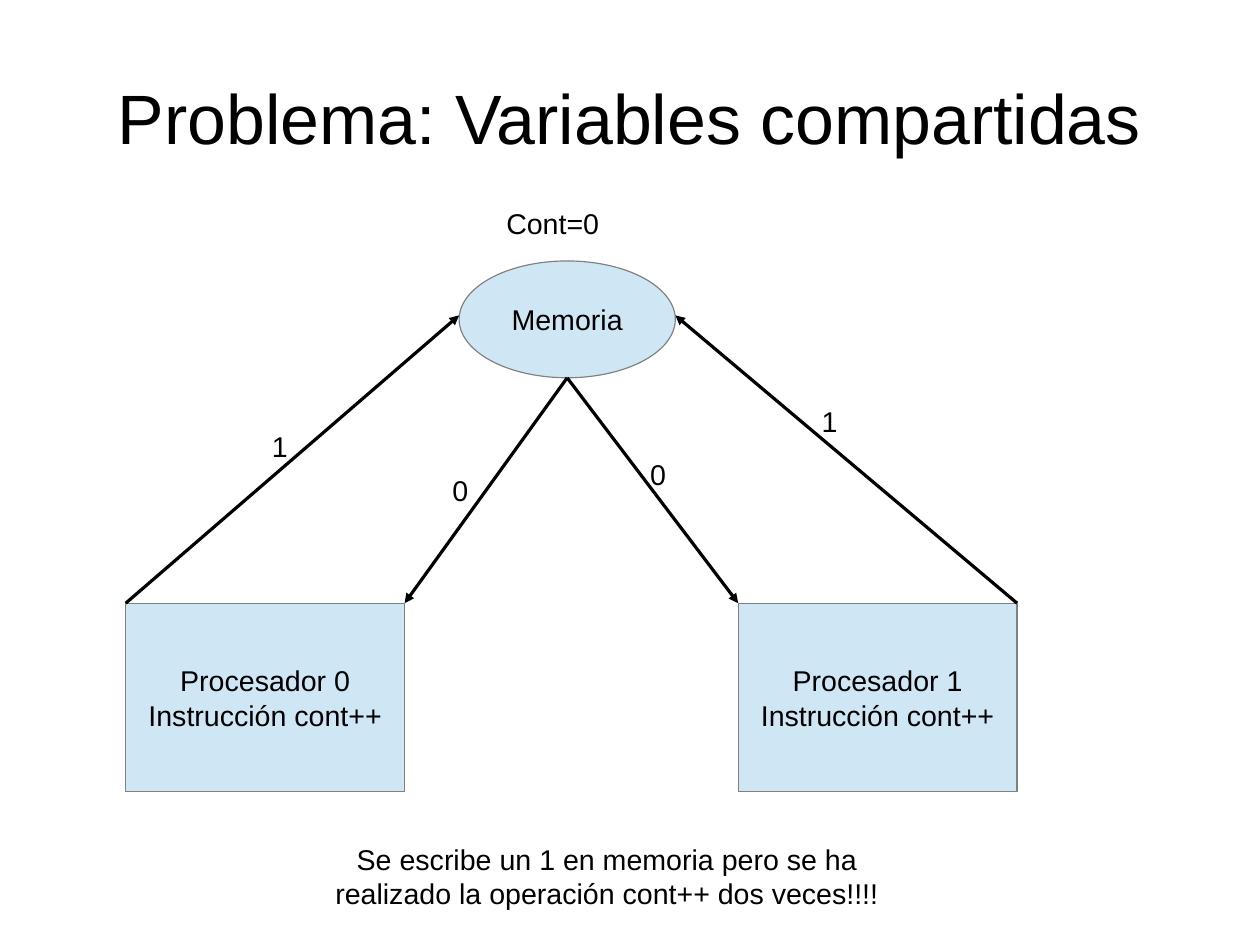
"""Build the slide on two processors sharing a variable in memory."""
from lxml import etree
from pptx import Presentation
from pptx.dml.color import RGBColor
from pptx.enum import shapes, text
from pptx.oxml.ns import qn
from pptx.util import Pt

COLORS = {"fill": "CFE7F5", "border": "808080", "ink": "000000", "bg": "FFFFFF"}
FONT = "Arial"
CENTER = text.PP_ALIGN.CENTER
LEFT = text.PP_ALIGN.LEFT


def rgb(name):
    return RGBColor.from_string(COLORS[name])


def write(tf, lines, size=18, align=CENTER, anchor=text.MSO_ANCHOR.MIDDLE,
          inset=(7.2, 3.6), wrap=False):
    tf.word_wrap = wrap
    tf.vertical_anchor = anchor
    tf.margin_left = tf.margin_right = Pt(inset[0])
    tf.margin_top = tf.margin_bottom = Pt(inset[1])
    for i, line in enumerate(lines):
        p = tf.add_paragraph() if i else tf.paragraphs[0]
        p.alignment = align
        r = p.add_run()
        r.text = line
        r.font.name = FONT
        r.font.size = Pt(size)
        r.font.color.rgb = rgb("ink")


def add_title(s, line, x, y, w, h):
    sp = s.shapes.title
    sp.left, sp.top, sp.width, sp.height = Pt(x), Pt(y), Pt(w), Pt(h)
    write(sp.text_frame, [line], size=44, inset=(0, 0), wrap=True)


def add_node(s, kind, lines, x, y, w, h):
    sp = s.shapes.add_shape(kind, Pt(x), Pt(y), Pt(w), Pt(h))
    sp.shadow.inherit = False
    sp.fill.solid()
    sp.fill.fore_color.rgb = rgb("fill")
    sp.line.color.rgb = rgb("border")
    sp.line.width = Pt(0)
    write(sp.text_frame, lines)


def add_label(s, lines, x, y, w, h=27.4, align=LEFT, wrap=False):
    sp = s.shapes.add_textbox(Pt(x), Pt(y), Pt(w), Pt(h))
    write(sp.text_frame, lines, align=align, anchor=text.MSO_ANCHOR.TOP, wrap=wrap)


def add_arrow(s, start, end):
    points = [Pt(v) for v in (*start, *end)]
    c = s.shapes.add_connector(shapes.MSO_CONNECTOR.STRAIGHT, *points)
    c.line.color.rgb = rgb("ink")
    c.line.width = Pt(0)
    etree.SubElement(c.line._get_or_add_ln(), qn("a:tailEnd"), type="triangle")
    etree.SubElement(c._element.spPr, qn("a:effectLst"))


def main():
    prs = Presentation()
    prs.slide_width, prs.slide_height = Pt(793.7), Pt(595.3)
    s = prs.slides.add_slide(prs.slide_layouts[5])
    s.background.fill.solid()
    s.background.fill.fore_color.rgb = rgb("bg")

    add_title(s, "Problema: Variables compartidas", 39.7, 23.7, 714.3, 99.4)

    mem_x, mem_y, mem_w, mem_h = 289.2, 164.4, 136.2, 73.6
    add_node(s, shapes.MSO_SHAPE.OVAL, ["Memoria"], mem_x, mem_y, mem_w, mem_h)
    add_label(s, ["Cont=0"], 311.8, 126, 72.7)

    cpu_y, cpu_w, cpu_h = 380, 175.7, 118.8
    cpu_xs = (79.2, 465)
    for i, x in enumerate(cpu_xs):
        lines = [f"Procesador {i}", "Instrucción cont++"]
        add_node(s, shapes.MSO_SHAPE.RECTANGLE, lines, x, cpu_y, cpu_w, cpu_h)

    mem_bottom = (mem_x + mem_w / 2, mem_y + mem_h)
    for x in (cpu_xs[0] + cpu_w, cpu_xs[1]):
        add_arrow(s, mem_bottom, (x, cpu_y))
    write_y = 198.7
    add_arrow(s, (cpu_xs[0], cpu_y), (mem_x, write_y))
    add_arrow(s, (cpu_xs[1] + cpu_w, cpu_y), (mem_x + mem_w, write_y))

    for value, x, y in (("0", 402.5, 284.4), ("0", 277.9, 294.5),
                        ("1", 164.2, 266.4), ("1", 510.5, 250.6)):
        add_label(s, [value], x, y, 33.8, wrap=True)

    add_label(s, ["Se escribe un 1 en memoria pero se ha",
                  "realizado la operación cont++ dos veces!!!!"],
              201.6, 527, 361.4, 47.5, align=CENTER)
    prs.save("out.pptx")


if __name__ == "__main__":
    main()
